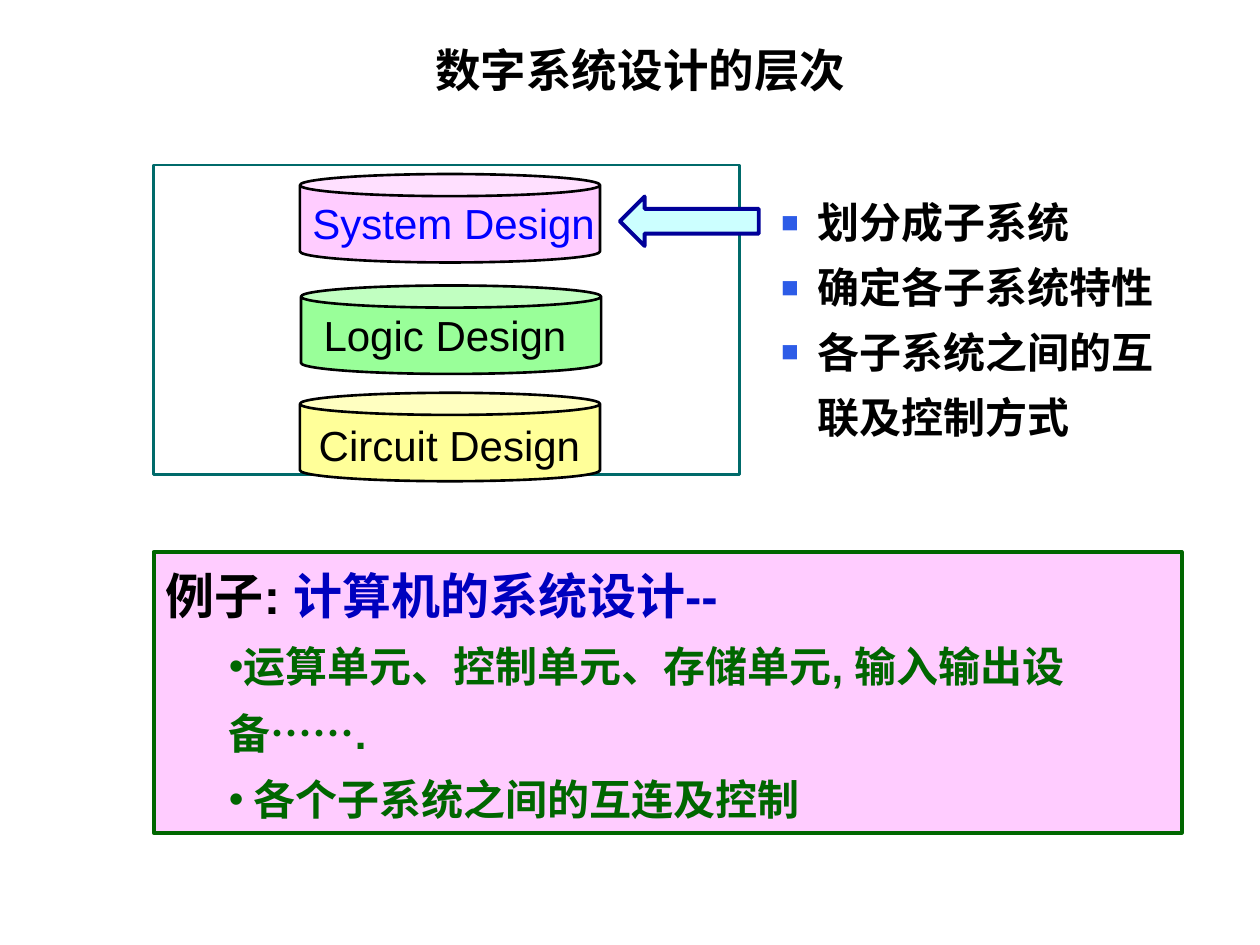
"""Build a slide on the levels of digital system design."""
from lxml.etree import SubElement
from pptx import Presentation
from pptx.dml.color import RGBColor
from pptx.enum.lang import MSO_LANGUAGE_ID
from pptx.enum.shapes import MSO_SHAPE
from pptx.enum.text import MSO_ANCHOR, MSO_AUTO_SIZE, PP_ALIGN
from pptx.oxml.ns import qn
from pptx.util import Pt

BLACK = RGBColor(0x00, 0x00, 0x00)
BLUE = RGBColor(0x00, 0x00, 0xFF)
DEEP_BLUE = RGBColor(0x00, 0x00, 0xBF)
NAVY = RGBColor(0x00, 0x00, 0x99)
BULLET_BLUE = RGBColor(0x2D, 0x5C, 0xE7)
TEAL = RGBColor(0x00, 0x6A, 0x6A)
GREEN = RGBColor(0x00, 0x66, 0x00)
PINK = RGBColor(0xFF, 0xCC, 0xFF)
LIGHT_GREEN = RGBColor(0x99, 0xFF, 0x99)
YELLOW = RGBColor(0xFF, 0xFF, 0x99)
PALE_CYAN = RGBColor(0xCC, 0xFF, 0xFF)


class SlideBuilder:
    def __init__(self, slide, font_name):
        self.slide = slide
        self.font_name = font_name

    def add_run(self, paragraph, text, size, color=BLACK, bold=True):
        run = paragraph.add_run()
        run.text = text
        font = run.font
        font.name = self.font_name
        font.size = Pt(size)
        font.bold = bold
        font.color.rgb = color
        font.language_id = MSO_LANGUAGE_ID.SIMPLIFIED_CHINESE

    def set_frame(self, shape, anchor=MSO_ANCHOR.TOP):
        frame = shape.text_frame
        frame.word_wrap = True
        frame.auto_size = MSO_AUTO_SIZE.NONE
        frame.vertical_anchor = anchor
        return frame

    def add_title(self, text, left, top, width, height):
        title = self.slide.shapes.title
        title.left, title.top = Pt(left), Pt(top)
        title.width, title.height = Pt(width), Pt(height)
        paragraph = self.set_frame(title, MSO_ANCHOR.MIDDLE).paragraphs[0]
        paragraph.alignment = PP_ALIGN.CENTER
        self.add_run(paragraph, text, 26)

    def add_shape(self, kind, left, top, width, height, line, weight, fill=None):
        shape = self.slide.shapes.add_shape(kind, Pt(left), Pt(top), Pt(width), Pt(height))
        shape.shadow.inherit = False
        shape.line.color.rgb = line
        shape.line.width = Pt(weight)
        if fill is None:
            shape.fill.background()
        else:
            shape.fill.solid()
            shape.fill.fore_color.rgb = fill
        return shape

    def add_text_box(self, left, top, width, height):
        box = self.slide.shapes.add_textbox(Pt(left), Pt(top), Pt(width), Pt(height))
        return self.set_frame(box)

    def add_label(self, text, left, top, color):
        frame = self.add_text_box(left, top, 178, 37)
        self.add_run(frame.paragraphs[0], text, 24, color, bold=False)

    def set_bullet(self, paragraph, character, margin, indent, color, percent=100):
        properties = paragraph._p.get_or_add_pPr()
        properties.set("marL", str(Pt(margin)))
        properties.set("indent", str(Pt(indent)))
        bullet_color = SubElement(properties, qn("a:buClr"))
        SubElement(bullet_color, qn("a:srgbClr"), val=str(color))
        SubElement(properties, qn("a:buSzPct"), val=str(percent * 1000))
        SubElement(properties, qn("a:buFont"), typeface=self.font_name)
        SubElement(properties, qn("a:buChar"), char=character)

    def add_bullet_list(self, items, left, top, width, height):
        frame = self.add_text_box(left, top, width, height)
        for index, text in enumerate(items):
            paragraph = frame.add_paragraph() if index else frame.paragraphs[0]
            self.set_bullet(paragraph, "■", 21, -21, BULLET_BLUE, 70)
            paragraph.line_spacing = Pt(37)
            self.add_run(paragraph, text, 24)

    def add_example(self, heading_runs, items, left, top, width, height):
        panel = self.add_shape(MSO_SHAPE.RECTANGLE, left, top, width, height, GREEN, 2.25, PINK)
        frame = self.set_frame(panel)
        heading = frame.paragraphs[0]
        heading.alignment = PP_ALIGN.LEFT
        heading.line_spacing = Pt(38)
        for text, color in heading_runs:
            self.add_run(heading, text, 28, color)
        for text in items:
            paragraph = frame.add_paragraph()
            paragraph.level = 1
            self.set_bullet(paragraph, "•", 36, 0, GREEN)
            paragraph.alignment = PP_ALIGN.LEFT
            paragraph.line_spacing = Pt(38)
            self.add_run(paragraph, text, 24, GREEN)


def main():
    presentation = Presentation()
    presentation.slide_width, presentation.slide_height = Pt(720), Pt(540)
    slide = presentation.slides.add_slide(presentation.slide_layouts[5])
    builder = SlideBuilder(slide, "Arial")

    builder.add_title("数字系统设计的层次", 74, 20, 584, 39)
    builder.add_shape(MSO_SHAPE.RECTANGLE, 87.8, 94.3, 334.8, 177, TEAL, 1.5)
    levels = [
        ("System Design", 171.4, 99.5, 171.4, 109.5, PINK, BLUE),
        ("Logic Design", 172, 163.2, 177.8, 173.5, LIGHT_GREEN, BLACK),
        ("Circuit Design", 171.4, 224.5, 175, 236.2, YELLOW, BLACK),
    ]
    for text, left, top, label_left, label_top, fill, color in levels:
        builder.add_shape(MSO_SHAPE.CAN, left, top, 171.5, 50.5, BLACK, 1.5, fill)
        builder.add_label(text, label_left, label_top, color)

    tasks = ["划分成子系统", "确定各子系统特性", "各子系统之间的互联及控制方式"]
    builder.add_bullet_list(tasks, 439.2, 100.8, 236.2, 157)
    builder.add_example(
        [("例子: ", BLACK), ("计算机的系统设计--", DEEP_BLUE)],
        ["运算单元、控制单元、存储单元, 输入输出设备…….", " 各个子系统之间的互连及控制"],
        87.8, 315.4, 587.5, 160.5,
    )
    builder.add_shape(MSO_SHAPE.LEFT_ARROW, 354.2, 112.3, 79.4, 28.3, NAVY, 2.25, PALE_CYAN)
    presentation.save("out.pptx")


if __name__ == "__main__":
    main()
